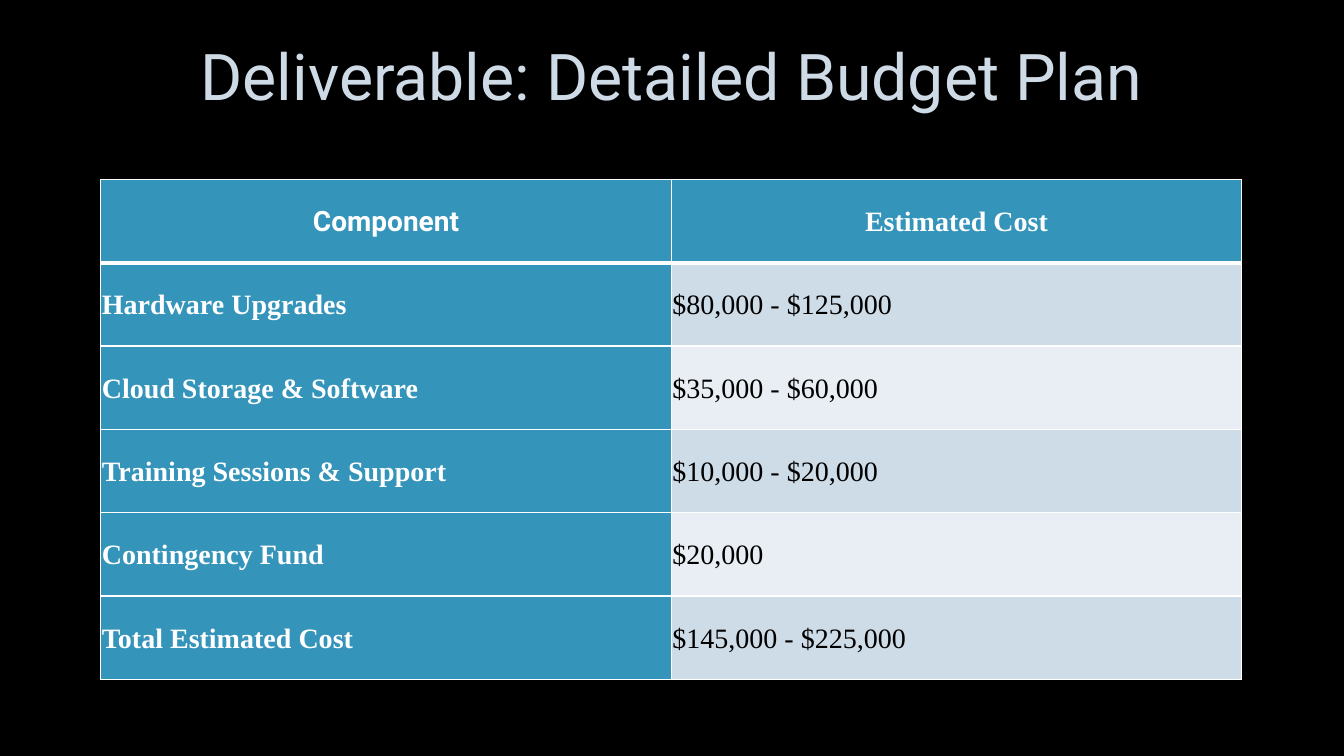
import pptx
import pptx.util
import pptx.dml.color
import pptx.enum.text
import pptx.oxml
import pptx.oxml.ns

Pt = pptx.util.Pt
RGB = pptx.dml.color.RGBColor.from_string
ALIGN = pptx.enum.text.PP_ALIGN
MIDDLE = pptx.enum.text.MSO_ANCHOR.MIDDLE

# Content
TITLE = "Deliverable: Detailed Budget Plan"
BUDGET = [
    ("Component", "Estimated Cost"),
    ("Hardware Upgrades", "$80,000 - $125,000"),
    ("Cloud Storage & Software", "$35,000 - $60,000"),
    ("Training Sessions & Support", "$10,000 - $20,000"),
    ("Contingency Fund", "$20,000"),
    ("Total Estimated Cost", "$145,000 - $225,000"),
]

THEME = {
    "background": "000000", "title": "CEDBE6", "title_outline": "404040",
    "accent": "3494BA", "bands": ("CEDCE7", "E8EEF3"),
    "light": "FFFFFF", "dark": "000000",
    "sans": "Roboto", "serif": "Times New Roman",
    "title_size": 46, "cell_size": 20,
}

# Layout, in points
SLIDE_W, SLIDE_H = 960, 540
LEFT, WIDTH = 72, 815.04
TITLE_TOP, TITLE_H = 15.84, 81.36
TABLE_TOP, TABLE_H = 128.16, 357.12
CELL_INSET = 0.72


def set_all(target, values):
    for name, value in values.items():
        setattr(target, name, value)


def write(tf, text, paragraph, font, color):
    p = tf.paragraphs[0]
    set_all(p, paragraph)
    r = p.add_run()
    r.text = text
    set_all(r.font, font)
    r.font.color.rgb = RGB(color)
    return r


def line_xml(tag, points, color, alpha=100):
    return pptx.oxml.parse_xml(
        f'<a:{tag} {pptx.oxml.ns.nsdecls("a")} w="{Pt(points)}"><a:solidFill>'
        f'<a:srgbClr val="{color}"><a:alpha val="{alpha * 1000}"/></a:srgbClr>'
        f'</a:solidFill><a:prstDash val="solid"/></a:{tag}>')


def add_borders(cell, row):
    widths = {"lnL": 1, "lnR": 1,
              "lnT": 3 if row == 1 else 1,
              "lnB": 3 if row == 0 else 1}
    tc_pr = cell._tc.get_or_add_tcPr()
    for i, (side, points) in enumerate(widths.items()):
        tc_pr.insert(i, line_xml(side, points, THEME["light"]))


def add_title(s):
    sp = s.shapes.add_textbox(Pt(LEFT), Pt(TITLE_TOP), Pt(WIDTH), Pt(TITLE_H))
    tf = sp.text_frame
    set_all(tf, {"word_wrap": True, "vertical_anchor": MIDDLE})
    r = write(tf, TITLE, {"alignment": ALIGN.CENTER, "line_spacing": 0.9},
              {"name": THEME["sans"], "size": Pt(THEME["title_size"])},
              THEME["title"])
    r._r.get_or_add_rPr().insert(
        0, line_xml("ln", 0.75, THEME["title_outline"], alpha=10))


def add_budget(s):
    rows, cols = len(BUDGET), len(BUDGET[0])
    table = s.shapes.add_table(rows, cols, Pt(LEFT), Pt(TABLE_TOP),
                               Pt(WIDTH), Pt(TABLE_H)).table
    set_all(table, {"first_col": True})
    for column in table.columns:
        column.width = Pt(WIDTH / cols)
    for i, values in enumerate(BUDGET):
        table.rows[i].height = Pt(TABLE_H / rows)
        for j, text in enumerate(values):
            cell = table.cell(i, j)
            heading = i == 0 or j == 0
            set_all(cell, {"vertical_anchor": MIDDLE} | {
                f"margin_{side}": Pt(CELL_INSET)
                for side in ("left", "right", "top", "bottom")})
            cell.fill.solid()
            cell.fill.fore_color.rgb = RGB(
                THEME["accent"] if heading else THEME["bands"][(i - 1) % 2])
            add_borders(cell, i)
            write(cell.text_frame, text,
                  {"alignment": ALIGN.CENTER if i == 0 else ALIGN.LEFT,
                   "line_spacing": 1.07, "space_after": Pt(8)},
                  {"name": THEME["sans" if i == j == 0 else "serif"],
                   "size": Pt(THEME["cell_size"]), "bold": heading},
                  THEME["light" if heading else "dark"])


def main():
    prs = pptx.Presentation()
    set_all(prs, {"slide_width": Pt(SLIDE_W), "slide_height": Pt(SLIDE_H)})
    s = prs.slides.add_slide(prs.slide_layouts[6])
    s.background.fill.solid()
    s.background.fill.fore_color.rgb = RGB(THEME["background"])
    add_title(s)
    add_budget(s)
    prs.save("out.pptx")


if __name__ == "__main__":
    main()
